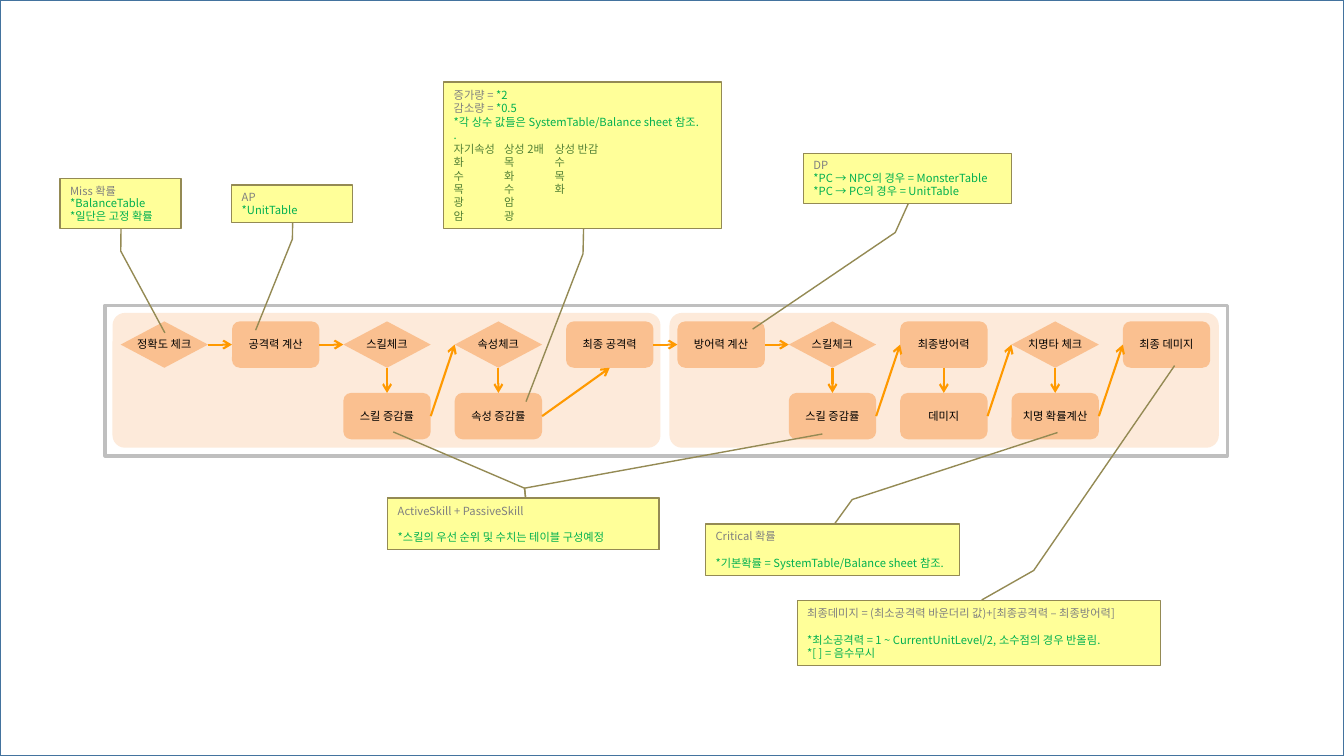
from pptx import Presentation
from pptx.dml.color import RGBColor
from pptx.enum import shapes, text
from pptx.oxml import parse_xml
from pptx.oxml.ns import nsdecls, qn
from pptx.util import Pt

KIND = shapes.MSO_SHAPE
TOP, LEFT, BOTTOM, RIGHT = range(4)  # connection sites of a step
GRAY, GREEN, OLIVE = "808080", "00B050", "548235"


def color(code):
    return RGBColor.from_string(code)


class Board:
    font, size = "Noto Sans CJK KR", 8

    def __init__(self, slide):
        self.slide = slide

    def shape(self, kind, box, fill, line=None, width=1, adjust=()):
        item = self.slide.shapes.add_shape(kind, *[Pt(v) for v in box])
        item.shadow.inherit = False
        item.fill.solid()
        item.fill.fore_color.rgb = color(fill)
        if line:
            item.line.color.rgb = color(line)
            item.line.width = Pt(width)
        else:
            item.line.fill.background()
        for i, value in enumerate(adjust):
            item.adjustments[i] = value
        return item

    def frame(self, item, wrap):
        frame = item.text_frame
        frame.word_wrap = wrap
        frame.vertical_anchor = text.MSO_ANCHOR.MIDDLE
        frame.margin_left = frame.margin_right = Pt(7.2)
        frame.margin_top, frame.margin_bottom = Pt(4), Pt(3.6)
        return frame

    def style(self, run, code):
        run.font.size = Pt(self.size)
        run.font.name = self.font
        run.font.color.rgb = color(code)
        east = run.font._element.makeelement(qn("a:ea"), {"typeface": self.font})
        run.font._element.find(qn("a:latin")).addnext(east)

    def step(self, kind, box, label):
        item = self.shape(kind, box, "FAC090")
        frame = self.frame(item, False)
        frame.text = label
        para = frame.paragraphs[0]
        para.alignment = text.PP_ALIGN.CENTER
        para.line_spacing = 0.96
        self.style(para.runs[0], "000000")
        return item

    def arrow(self, start, out, end, into):
        line = self.slide.shapes.add_connector(shapes.MSO_CONNECTOR.STRAIGHT, 0, 0, 0, 0)
        line.begin_connect(start, out)
        line.end_connect(end, into)
        line.line.color.rgb = color("FF9900")
        line.line.width = Pt(1.5)
        line.line._get_or_add_ln().append(
            parse_xml(f'<a:tailEnd type="arrow" {nsdecls("a")}/>'))
        line._element.spPr.append(parse_xml(f'<a:effectLst {nsdecls("a")}/>'))

    def note(self, box, lead, lines, spacing=None, gap=0, wrap=True):
        """Each line is a list of (words, colour); gap sits after the first line."""
        item = self.shape(KIND.LINE_CALLOUT_2, box, "FFFF99", "948A54", 1, lead)
        frame = self.frame(item, wrap)
        for i, parts in enumerate(lines):
            para = frame.add_paragraph() if i else frame.paragraphs[0]
            para.alignment = text.PP_ALIGN.LEFT
            if spacing:
                para.line_spacing = spacing
            if gap and i == 1:
                para.space_before = Pt(gap)
            for words, code in parts:
                run = para.add_run()
                run.text = words
                self.style(run, code)


def lines(head, *rest):
    return [[(head, GRAY)]] + [[(words, GREEN)] for words in rest]


deck = Presentation()
deck.slide_width, deck.slide_height = Pt(960), Pt(540)
board = Board(deck.slides.add_slide(deck.slide_layouts[6]))

# Page border, outer frame and the two phase panels
board.shape(KIND.RECTANGLE, (0, 0, 960, 540), "FFFFFF", "43739E")
board.shape(KIND.ROUNDED_RECTANGLE, (75, 218, 801.5, 107.7), "FFFFFF", "BFBFBF", 2.24, [0])
for left, wide in ((478.2, 392.4), (80.4, 391.4)):
    board.shape(KIND.ROUNDED_RECTANGLE, (left, 223.5, wide, 96.3), "FDEADA", adjust=[0.093])

# Steps on a grid of ten columns and two rows
checks = {0, 2, 3, 6, 8}
upper = ["정확도 체크", "공격력 계산", "스킬체크", "속성체크", "최종 공격력",
         "방어력 계산", "스킬체크", "최종방어력", "치명타 체크", "최종 데미지"]
lower = {2: "스킬 증감률", 3: "속성 증감률", 6: "스킬 증감률", 7: "데미지", 8: "치명 확률계산"}


def place(col, y):
    return 86.2 + 79.54 * col, y, 62.4, 33.1


top = [board.step(KIND.FLOWCHART_DECISION if col in checks else KIND.ROUNDED_RECTANGLE,
                  place(col, 229.6), label) for col, label in enumerate(upper)]
low = {col: board.step(KIND.ROUNDED_RECTANGLE, place(col, 280.7), label)
       for col, label in lower.items()}

# Arrows: along the top row, then down and on to the next column
for col in (0, 1, 4, 5):
    board.arrow(top[col], RIGHT, top[col + 1], LEFT)
for col in low:
    board.arrow(top[col], BOTTOM, low[col], TOP)
    board.arrow(low[col], RIGHT, top[col + 1], BOTTOM if col == 3 else LEFT)

# Notes above the flow
board.note((165.6, 132.3, 86.4, 26.6), (1.005, 0.503, 1.447, 0.501, 3.897, 0.197),
           lines("AP", "*UnitTable"), 0.96)
table = ["자기속성\t상성 2배\t상성 반감", "화\t목\t수", "수\t화\t목", "목\t수\t화", "광\t암\t", "암\t광"]
board.note((317, 58.5, 198.5, 104.6), (1.005, 0.503, 1.174, 0.501, 2.184, 0.296),
           [[("증가량 = ", GRAY), ("*2", GREEN)], [("감소량 = ", GRAY), ("*0.5", GREEN)],
            [("*각 상수 값들은 SystemTable/Balance sheet 참조.", GREEN)], [(".", GREEN)]]
           + [[(row, OLIVE)] for row in table])
board.note((574, 109.5, 148.5, 36), (1.005, 0.503, 1.573, 0.441, 3.49, -0.245),
           lines("DP", "*PC → NPC의 경우 = MonsterTable", "*PC → PC의 경우 = UnitTable"), 0.96)
board.note((43, 127.6, 86.4, 35.8), (1.005, 0.503, 1.447, 0.501, 3.078, 0.866),
           lines("Miss 확률", "*BalanceTable", "*일단은 고정 확률"), 0.96)

# Notes below the flow; the skill note leads to both skill steps
for end in ((-1.253, 1.602), (-1.293, 0.02)):
    board.note((277, 355.8, 193.8, 36.6), (-0.005, 0.508, -0.195, 0.504) + end,
               lines("ActiveSkill + PassiveSkill", "*스킬의 우선 순위 및 수치는 테이블 구성예정"), gap=9.6)
board.note((569.5, 428.8, 259.4, 46.5), (-0.005, 0.508, -0.458, 0.651, -3.606, 1.039),
           lines("최종데미지 = (최소공격력 바운더리 값)+[최종공격력 – 최종방어력]",
                 "*최소공격력 = 1 ~ CurrentUnitLevel/2, 소수점의 경우 반올림.", "*[ ] = 음수무시"),
           gap=9.6, wrap=False)
board.note((504, 374.3, 181.5, 36.6), (-0.005, 0.508, -0.478, 0.577, -1.786, 1.385),
           lines("Critical 확률", "*기본확률 = SystemTable/Balance sheet 참조."), gap=9.6, wrap=False)

deck.save("out.pptx")
